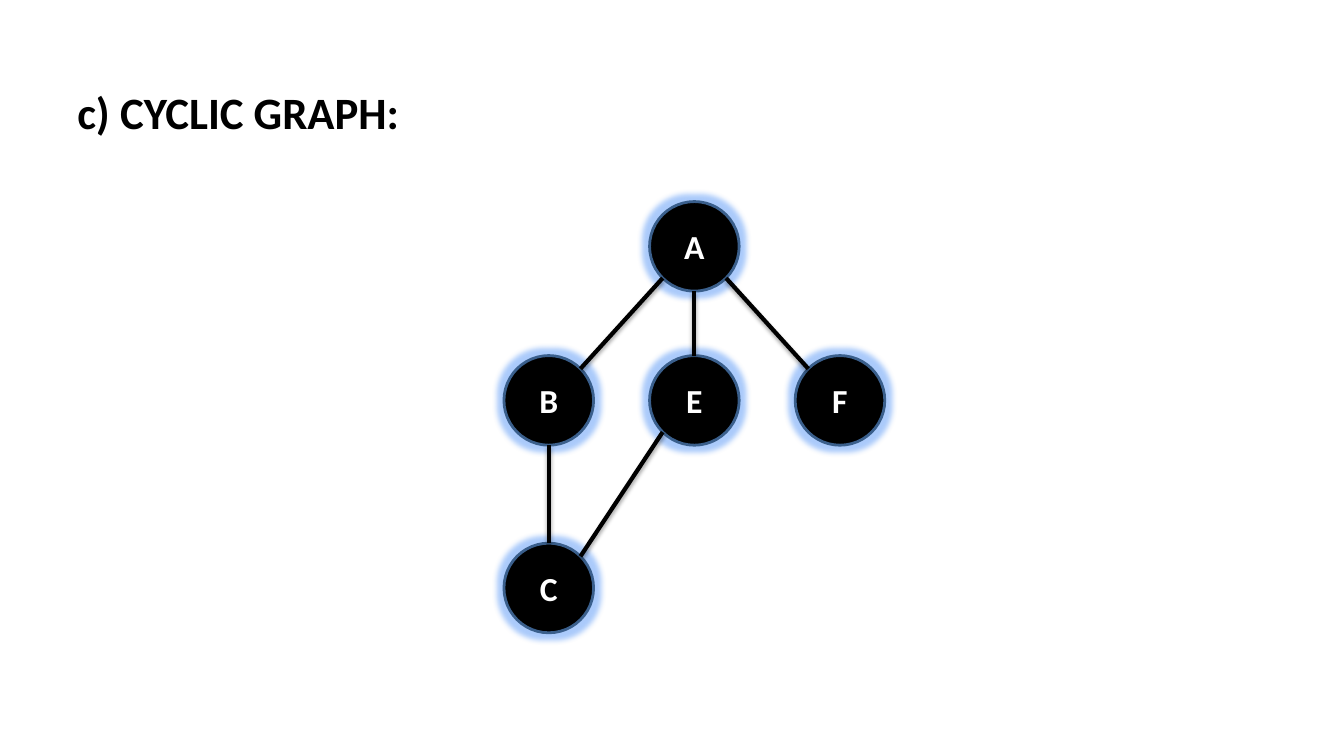
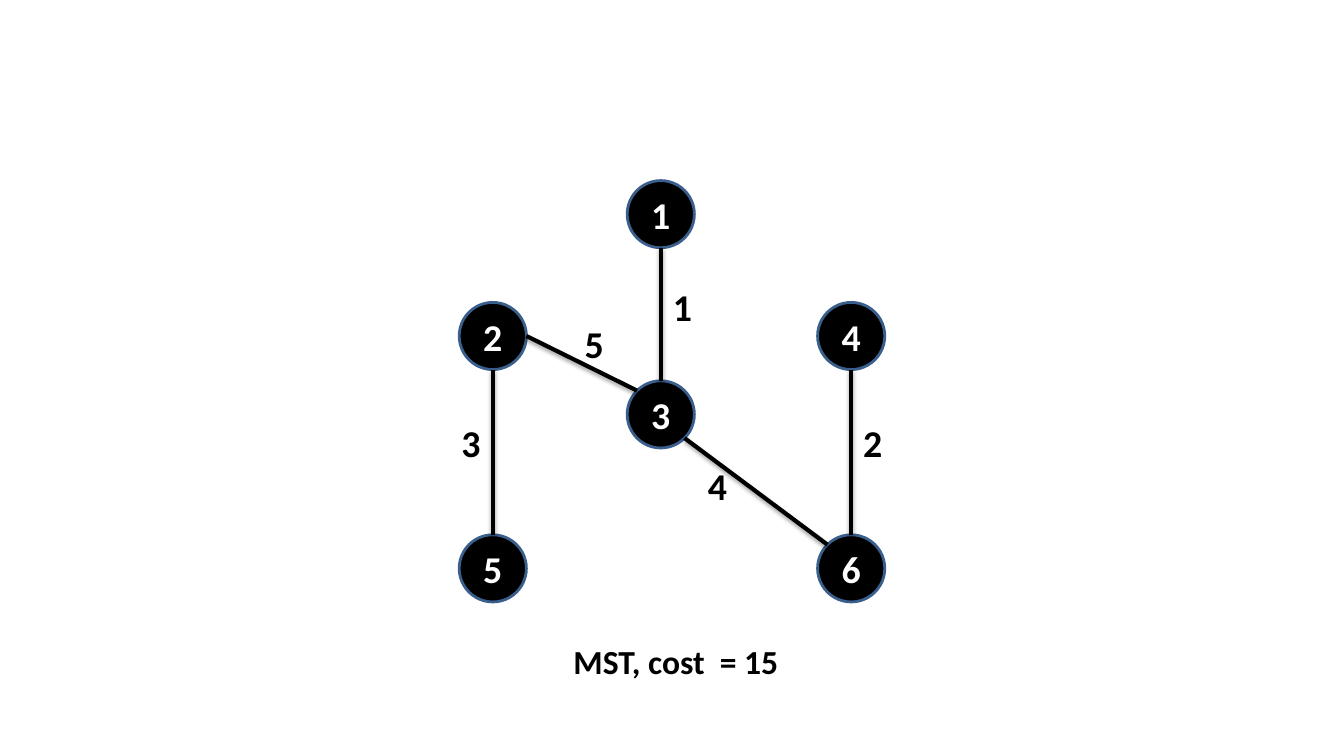
"""Build two slides with a cyclic graph and a minimum spanning tree."""
from math import cos, radians, sin

from lxml.etree import SubElement as Sub
from pptx import Presentation
from pptx.dml.color import RGBColor as RGB
from pptx.enum.shapes import MSO_CONNECTOR as Link, MSO_SHAPE as Form
from pptx.enum.text import MSO_ANCHOR as Anchor, MSO_AUTO_SIZE as Fit, PP_ALIGN as Align
from pptx.oxml.ns import qn
from pptx.util import Pt

HUES = {"ink": "000000", "paper": "FFFFFF", "rim": "3A5F8C", "glow": "2C7CF5"}
FONT = "Calibri"
TITLE, BLANK = 5, 6
TOP, TOP_LEFT, LOW_LEFT, LOW, LOW_RIGHT, RIGHT, TOP_RIGHT = 0, 1, 3, 4, 5, 6, 7


def hue(name):
    return RGB.from_string(HUES[name])


def style(para, size, color, align=Align.LEFT):
    para.alignment = align
    font = para.font
    font.name, font.size, font.bold = FONT, Pt(size), True
    font.color.rgb = hue(color)


def pad(frame):
    frame.margin_left = frame.margin_right = Pt(9.6)
    frame.margin_top = frame.margin_bottom = Pt(4.8)


def effect(holder, kind, color, alpha, **attrs):
    item = Sub(holder, qn("a:" + kind), {key: str(val) for key, val in attrs.items()})
    tint = Sub(item, qn("a:srgbClr"), val=HUES[color])
    Sub(tint, qn("a:alpha"), val=str(alpha * 1000))


def head(slide, text):
    box = slide.shapes.title
    box.left, box.top, box.width, box.height = Pt(48), Pt(57), Pt(864), Pt(50)
    frame = box.text_frame
    frame.text = text
    frame.vertical_anchor = Anchor.TOP
    style(frame.paragraphs[0], 32, "ink")


def label(slide, text, left, top, width, height, size):
    box = slide.shapes.add_textbox(Pt(left), Pt(top), Pt(width), Pt(height))
    frame = box.text_frame
    frame.text = text
    frame.word_wrap = False
    frame.auto_size = Fit.SHAPE_TO_FIT_TEXT
    pad(frame)
    style(frame.paragraphs[0], size, "ink")


def node(slide, text, left, top, side, size, glow):
    disc = slide.shapes.add_shape(Form.OVAL, Pt(left), Pt(top), Pt(side), Pt(side))
    disc.shadow.inherit = False
    disc.fill.solid()
    disc.fill.fore_color.rgb = hue("ink")
    disc.line.color.rgb = hue("rim")
    disc.line.width = Pt(2)
    if glow:
        holder = disc.element.spPr.find(qn("a:effectLst"))
        effect(holder, "glow", "glow", 40, rad=Pt(8))
    frame = disc.text_frame
    frame.text = text
    frame.vertical_anchor = Anchor.MIDDLE
    pad(frame)
    style(frame.paragraphs[0], size, "paper", Align.CENTER)
    return disc


def site(disc, spot):
    turn = radians(45 * spot)
    half = disc.width / 2
    return (round(disc.left + half * (1 - sin(turn))),
            round(disc.top + half * (1 - cos(turn))))


def edge(slide, start, out, end, into):
    line = slide.shapes.add_connector(Link.STRAIGHT, *site(start, out), *site(end, into))
    line.line.color.rgb = hue("ink")
    line.line.width = Pt(3)
    ends = line.element.nvCxnSpPr.cNvCxnSpPr
    for tag, disc, spot in (("a:stCxn", start, out), ("a:endCxn", end, into)):
        Sub(ends, qn(tag), id=str(disc.shape_id), idx=str(spot))
    holder = Sub(line.element.spPr, qn("a:effectLst"))
    effect(holder, "outerShdw", "ink", 35, blurRad=Pt(3.1), dist=Pt(1.8),
           dir=90 * 60000, rotWithShape=0)


def graph(slide, left, top, side, size, spots, edges, costs=(), glow=False):
    discs = {name: node(slide, name, left + x, top + y, side, size, glow)
             for name, (x, y) in spots.items()}
    for start, out, end, into in edges:
        edge(slide, discs[start], out, discs[end], into)
    for text, x, y in costs:
        label(slide, text, left + x, top + y, 33, 42, size)


def cyclic(deck):
    slide = deck.slides.add_slide(deck.slide_layouts[TITLE])
    head(slide, "c) CYCLIC GRAPH:")
    step, mid, low = 104, 110, 244
    spots = {"A": (step, 0), "B": (0, mid), "E": (step, mid),
             "F": (2 * step, mid), "C": (0, low)}
    edges = [("A", LOW_RIGHT, "F", TOP_RIGHT - 6), ("B", TOP_RIGHT, "A", LOW_LEFT),
             ("A", LOW, "E", TOP), ("B", LOW, "C", TOP),
             ("E", LOW_LEFT, "C", TOP_RIGHT)]
    graph(slide, 360, 144, 64, 24, spots, edges, glow=True)


def tree(deck):
    slide = deck.slides.add_slide(deck.slide_layouts[BLANK])
    mid, right, high, low = 120, 256, 87, 253
    spots = {"1": (mid, 0), "2": (0, high), "3": (mid, 143),
             "4": (right, high), "6": (right, low), "5": (0, low)}
    edges = [("3", TOP, "1", LOW), ("3", TOP_LEFT, "2", RIGHT), ("5", TOP, "2", LOW),
             ("6", TOP, "4", LOW), ("6", TOP_LEFT, "3", LOW_RIGHT)]
    costs = [("1", 143, 69), ("5", 80, 95), ("2", 279, 166),
             ("4", 168, 197), ("3", -8, 166)]
    graph(slide, 328, 129, 48, 27, spots, edges, costs)
    label(slide, "MST, cost  = 15", 400, 453, 167, 39, 24)


def main():
    deck = Presentation()
    deck.slide_width, deck.slide_height = Pt(960), Pt(540)
    cyclic(deck)
    tree(deck)
    deck.save("out.pptx")


if __name__ == "__main__":
    main()
